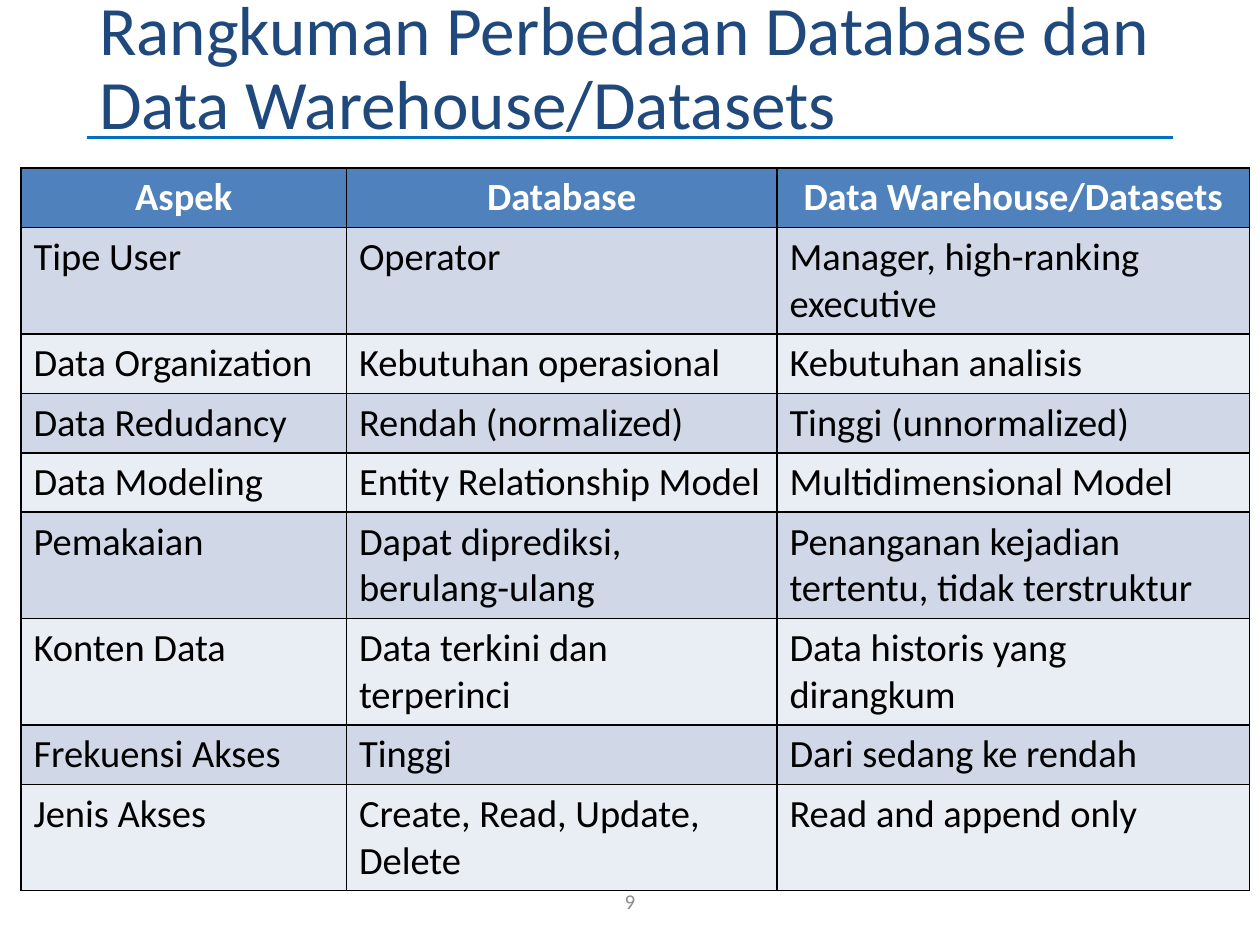
from dataclasses import dataclass

from lxml import etree
from pptx import Presentation
from pptx.dml.color import RGBColor
from pptx.enum.shapes import MSO_CONNECTOR
from pptx.enum.text import MSO_ANCHOR, MSO_AUTO_SIZE, PP_ALIGN
from pptx.oxml.ns import qn
from pptx.util import Pt

STRAIGHT = MSO_CONNECTOR.STRAIGHT
MIDDLE = MSO_ANCHOR.MIDDLE
NO_AUTOFIT = MSO_AUTO_SIZE.NONE
LEFT, CENTER = PP_ALIGN.LEFT, PP_ALIGN.CENTER

TITLE = "Rangkuman Perbedaan Database dan Data Warehouse/Datasets"
ROWS = [
    ("Aspek", "Database", "Data Warehouse/Datasets"),
    ("Tipe User", "Operator", "Manager, high-ranking executive"),
    ("Data Organization", "Kebutuhan operasional", "Kebutuhan analisis"),
    ("Data Redudancy", "Rendah (normalized)", "Tinggi (unnormalized)"),
    ("Data Modeling", "Entity Relationship Model", "Multidimensional Model"),
    ("Pemakaian", "Dapat diprediksi, berulang-ulang",
     "Penanganan kejadian tertentu, tidak terstruktur"),
    ("Konten Data", "Data terkini dan terperinci", "Data historis yang dirangkum"),
    ("Frekuensi Akses", "Tinggi", "Dari sedang ke rendah"),
    ("Jenis Akses", "Create, Read, Update, Delete", "Read and append only"),
]


@dataclass(frozen=True)
class Theme:
    """Colours, font and type sizes of the slide."""

    font: str = "Calibri"
    title: str = "1F497D"
    rule: str = "0070C0"
    number: str = "8C8C8C"
    header_text: str = "FFFFFF"
    text: str = "000000"
    border: str = "000000"
    header_fill: str = "4F81BD"
    bands: tuple = ("D0D8E8", "E9EDF4")
    title_size: float = 39.6
    table_size: float = 22
    number_size: float = 12


class SlideBuilder:
    """Draws each kind of element on the current slide in one theme."""

    def __init__(self, slide, theme):
        """Keep the slide and its theme."""
        self.slide = slide
        self.theme = theme

    def set_text(self, frame, text, size, color, bold=False, **paragraph_format):
        """Put one formatted paragraph in a text frame."""
        frame.text = text
        paragraph = frame.paragraphs[0]
        for name, value in paragraph_format.items():
            setattr(paragraph, name, value)
        font = paragraph.runs[0].font
        for name, value in {"name": self.theme.font, "size": Pt(size), "bold": bold}.items():
            setattr(font, name, value)
        font.color.rgb = RGBColor.from_string(color)

    def format_frame(self, frame):
        """Give a text frame fixed size, wrapping and middle anchoring."""
        settings = {"word_wrap": True, "auto_size": NO_AUTOFIT, "vertical_anchor": MIDDLE}
        for name, value in settings.items():
            setattr(frame, name, value)

    def title(self, text, left, top, width, height):
        """Fill and place the title placeholder."""
        shape = self.slide.shapes.title
        box = {"left": left, "top": top, "width": width, "height": height}
        for name, value in box.items():
            setattr(shape, name, Pt(value))
        self.format_frame(shape.text_frame)
        self.set_text(shape.text_frame, text, self.theme.title_size, self.theme.title,
                      alignment=LEFT, line_spacing=0.9)

    def rule(self, left, top, width, weight):
        """Draw a horizontal line."""
        line = self.slide.shapes.add_connector(
            STRAIGHT, Pt(left), Pt(top), Pt(left + width), Pt(top))
        line.line.color.rgb = RGBColor.from_string(self.theme.rule)
        line.line.width = Pt(weight)
        etree.SubElement(line._element.spPr, qn("a:effectLst"))

    def page_number(self, text, left, top, width, height):
        """Add the centred page number."""
        shape = self.slide.shapes.add_textbox(Pt(left), Pt(top), Pt(width), Pt(height))
        self.format_frame(shape.text_frame)
        self.set_text(shape.text_frame, text, self.theme.number_size, self.theme.number,
                      alignment=CENTER)

    def border(self, cell, weight):
        """Outline a table cell on all four sides."""
        properties = cell._tc.get_or_add_tcPr()
        for side in ("a:lnL", "a:lnR", "a:lnT", "a:lnB"):
            line = etree.SubElement(properties, qn(side), w=str(Pt(weight)))
            fill = etree.SubElement(line, qn("a:solidFill"))
            etree.SubElement(fill, qn("a:srgbClr"), val=self.theme.border)

    def table(self, rows, left, top, column_widths, row_height):
        """Add a bordered table with a header and banded rows."""
        theme = self.theme
        table = self.slide.shapes.add_table(
            len(rows), len(column_widths), Pt(left), Pt(top),
            Pt(sum(column_widths)), Pt(row_height * len(rows))).table
        for column, width in zip(table.columns, column_widths):
            column.width = Pt(width)
        for index, texts in enumerate(rows):
            header = index == 0
            fill = theme.header_fill if header else theme.bands[(index - 1) % 2]
            color = theme.header_text if header else theme.text
            for cell, text in zip(table.rows[index].cells, texts):
                self.border(cell, 1)
                cell.fill.solid()
                cell.fill.fore_color.rgb = RGBColor.from_string(fill)
                self.set_text(cell.text_frame, text, theme.table_size, color, bold=header,
                              alignment=CENTER if header else LEFT)


def main():
    """Build and save the comparison slide."""
    presentation = Presentation()
    presentation.slide_width, presentation.slide_height = Pt(720), Pt(540)
    slide = presentation.slides.add_slide(presentation.slide_layouts[5])
    builder = SlideBuilder(slide, Theme())
    builder.page_number("9", 279, 500.5, 162, 29)
    builder.rule(49.5, 78.5, 621, 1.5)
    builder.title(TITLE, 49.5, 12, 621, 56)
    builder.table(ROWS, 12, 96, (186, 246, 270), 29.5)
    presentation.save("out.pptx")


if __name__ == "__main__":
    main()
